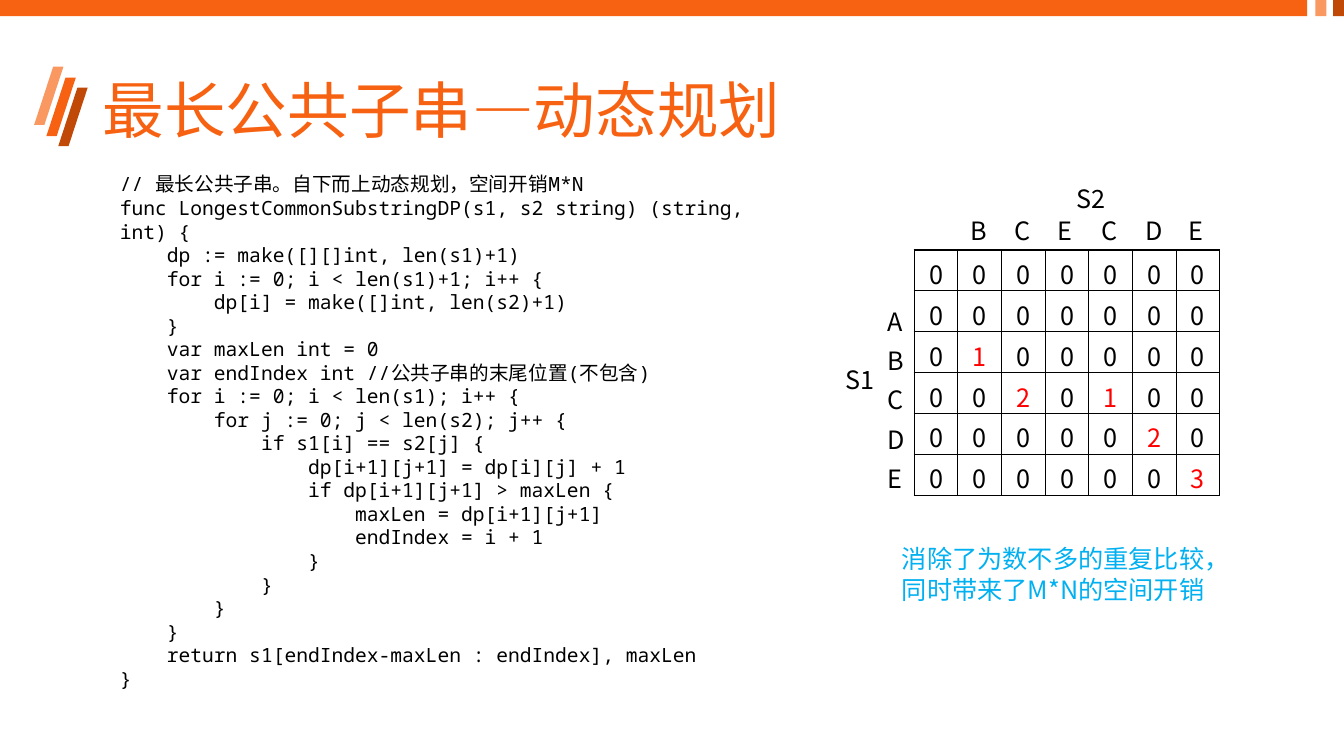
"""Build the slide on the longest common substring by dynamic programming."""
from dataclasses import dataclass

from lxml.etree import SubElement
from pptx import Presentation
from pptx.dml.color import RGBColor
from pptx.enum.shapes import MSO_SHAPE
from pptx.enum.text import MSO_ANCHOR, PP_ALIGN
from pptx.oxml.ns import qn
from pptx.util import Cm, Pt


@dataclass(frozen=True)
class Theme:
    orange: str = "F76212"
    light_orange: str = "FA9862"
    dark_orange: str = "C14907"
    black: str = "000000"
    red: str = "FF0000"
    blue: str = "00B0F0"
    sans: str = "Noto Sans CJK SC"
    mono: str = "Noto Sans Mono"
    title_size: int = 44
    body_size: int = 18
    code_size: int = 14


theme = Theme()


def write_text(frame, text, size=theme.body_size, color=theme.black, font=theme.sans,
               spacing=None, align=PP_ALIGN.LEFT, tab_step=None):
    """Fill a text frame with one paragraph for each line of text."""
    for index, line in enumerate(text.split("\n")):
        paragraph = frame.add_paragraph() if index else frame.paragraphs[0]
        paragraph.alignment = align
        if spacing:
            paragraph.line_spacing = spacing
        if tab_step:
            tab_list = SubElement(paragraph._p.get_or_add_pPr(), qn("a:tabLst"))
            for stop in range(1, line.count("\t") + 1):
                SubElement(tab_list, qn("a:tab"), pos=str(tab_step * stop), algn="l")
        run = paragraph.add_run()
        run.text = line
        run.font.size = Pt(size)
        run.font.name = font
        run.font.color.rgb = RGBColor.from_string(color)
        SubElement(run._r.get_or_add_rPr(), qn("a:ea"), typeface=theme.sans)


def add_text(text, left, top, width, height, wrap=True, anchor=MSO_ANCHOR.TOP, **text_format):
    """Add a text box, with its place in centimetres."""
    box = slide.shapes.add_textbox(Cm(left), Cm(top), Cm(width), Cm(height))
    box.text_frame.word_wrap = wrap
    box.text_frame.vertical_anchor = anchor
    write_text(box.text_frame, text, **text_format)


presentation = Presentation()
presentation.slide_width = Cm(33.87)
presentation.slide_height = Cm(19.05)
slide = presentation.slides.add_slide(presentation.slide_layouts[6])

decorations = [
    (MSO_SHAPE.PARALLELOGRAM, 1.17, 1.96, 0.74, 1.47, theme.orange),
    (MSO_SHAPE.PARALLELOGRAM, 0.86, 1.68, 0.74, 1.47, theme.light_orange),
    (MSO_SHAPE.PARALLELOGRAM, 1.47, 2.21, 0.74, 1.47, theme.dark_orange),
    (MSO_SHAPE.RECTANGLE, 0, 0, 32.94, 0.41, theme.orange),
    (MSO_SHAPE.RECTANGLE, 33.15, 0, 0.28, 0.41, theme.light_orange),
    (MSO_SHAPE.RECTANGLE, 33.6, 0, 0.27, 0.41, theme.dark_orange),
]
for kind, left, top, width, height, color in decorations:
    shape = slide.shapes.add_shape(kind, Cm(left), Cm(top), Cm(width), Cm(height))
    shape.shadow.inherit = False
    shape.fill.solid()
    shape.fill.fore_color.rgb = RGBColor.from_string(color)
    shape.line.fill.background()
    if kind == MSO_SHAPE.PARALLELOGRAM:
        shape.adjustments[0] = 0.65

add_text("最长公共子串—动态规划", 2.34, 1.02, 29.21, 3.68, anchor=MSO_ANCHOR.MIDDLE,
         size=theme.title_size, color=theme.orange, spacing=0.9)

code = """// 最长公共子串。自下而上动态规划，空间开销M*N
func LongestCommonSubstringDP(s1, s2 string) (string, int) {
    dp := make([][]int, len(s1)+1)
    for i := 0; i < len(s1)+1; i++ {
        dp[i] = make([]int, len(s2)+1)
    }
    var maxLen int = 0
    var endIndex int //公共子串的末尾位置(不包含)
    for i := 0; i < len(s1); i++ {
        for j := 0; j < len(s2); j++ {
            if s1[i] == s2[j] {
                dp[i+1][j+1] = dp[i][j] + 1
                if dp[i+1][j+1] > maxLen {
                    maxLen = dp[i+1][j+1]
                    endIndex = i + 1
                }
            }
        }
    }
    return s1[endIndex-maxLen : endIndex], maxLen
}"""
add_text(code, 2.77, 4.22, 17.53, 12.83, size=theme.code_size, font=theme.mono,
         spacing=Pt(16.8))

first_string, second_string = "ABCDE", "BCECDE"
lengths = ["0000000", "0000000", "0100000", "0020100", "0000020", "0000003"]
column_width, row_height = Cm(1.1), Cm(1.03)
table = slide.shapes.add_table(
    len(lengths), len(lengths[0]), Cm(23.04), Cm(6.3),
    column_width * len(lengths[0]), row_height * len(lengths)).table
table.first_row = table.horz_banding = False
for column in table.columns:
    column.width = column_width
for row, digits in zip(table.rows, lengths):
    row.height = row_height
    for cell, digit in zip(row.cells, digits):
        cell.margin_top, cell.margin_bottom = Cm(0.13), 0
        properties = cell._tc.get_or_add_tcPr()
        for side in ("lnL", "lnR", "lnT", "lnB"):
            border = SubElement(properties, qn(f"a:{side}"), w=str(Pt(1)))
            border_fill = SubElement(border, qn("a:solidFill"))
            SubElement(border_fill, qn("a:srgbClr"), val=theme.black)
        cell.fill.background()
        write_text(cell.text_frame, digit, align=PP_ALIGN.CENTER,
                   color=theme.black if digit == "0" else theme.red)

label_spacing = Pt(22)
add_text("\t".join(second_string), 24.21, 5.28, 6.58, 1.02,
         spacing=label_spacing, tab_step=column_width)
add_text("\n".join(first_string), 22.12, 7.37, 0.94, 5.16, wrap=False, spacing=Pt(28))
add_text("S1", 21.06, 9.04, 1.24, 1.02, wrap=False, spacing=label_spacing)
add_text("S2", 26.87, 4.47, 1.24, 1.02, wrap=False, spacing=label_spacing)
add_text("消除了为数不多的重复比较，同时带来了M*N的空间开销", 22.48, 13.56, 8.61, 1.8,
         color=theme.blue, spacing=label_spacing)

presentation.save("out.pptx")
